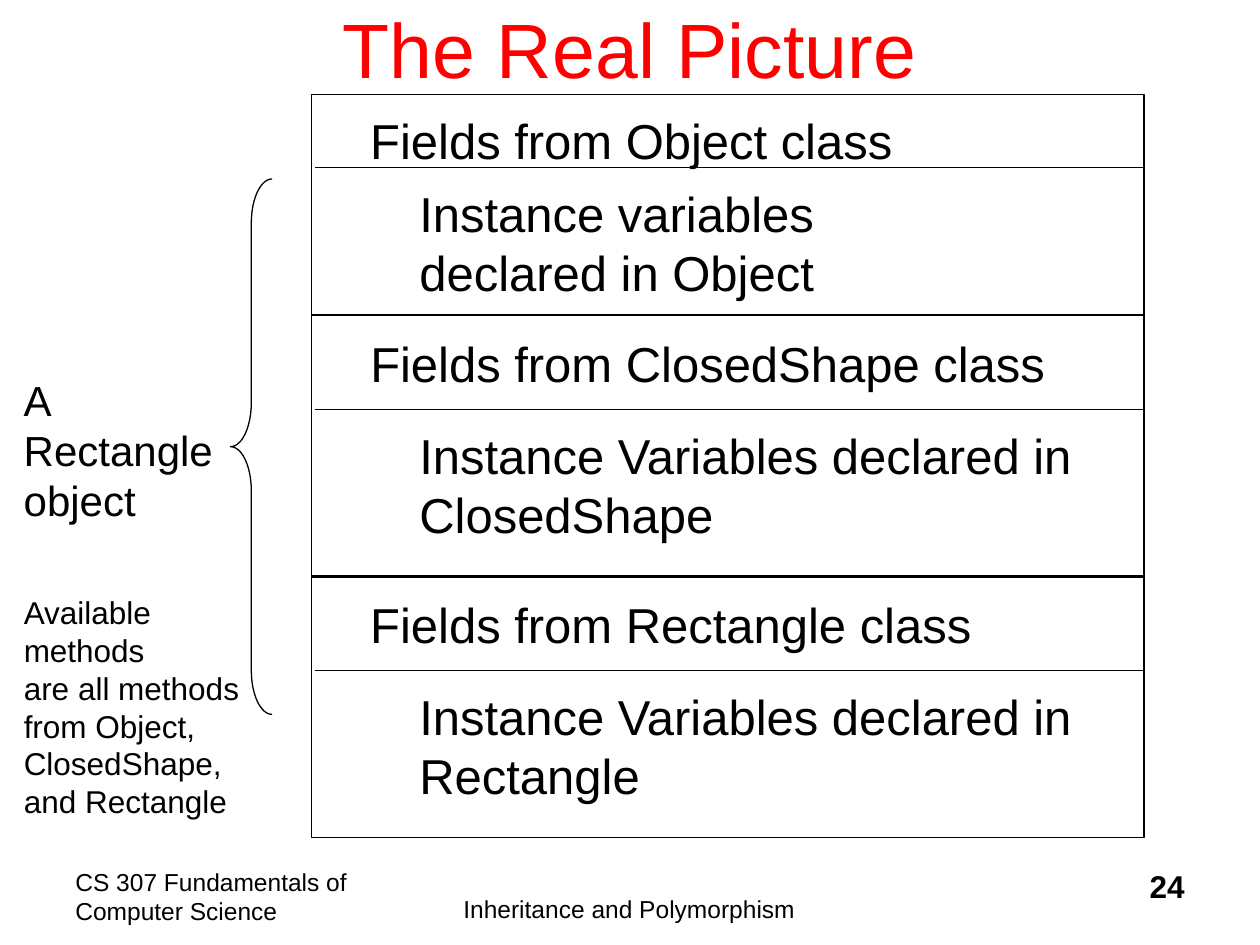
from pptx import Presentation
from pptx import util as u
from pptx.dml.color import RGBColor
from pptx.enum import shapes, text
from pptx.oxml.ns import qn
from lxml import etree

THEME = {
    "font": "Arial",
    "ink": RGBColor(0x00, 0x00, 0x00),
    "accent": RGBColor(0xFF, 0x00, 0x00),
    "line": 0.75,
    "title": 44, "section": 28, "label": 24, "note": 18, "footer": 14,
}

WIDTH, HEIGHT = 10, 7.5
FRAME_LEFT, FRAME_WIDTH = 2.47, 6.61
DIVIDER_LEFT, HEADING_LEFT, BODY_LEFT = 2.5, 2.84, 3.23
BODY_GAP = 0.08

# heading, heading width, body, body width, top, height, heading offset, divider offset
SECTIONS = [
    ("Fields from ClosedShape class", 5.55,
     "Instance Variables declared in ClosedShape", 5.52, 2.5, 2.08, 0.1, 0.75),
    ("Fields from Object class", 4.34,
     "Instance variables declared in Object", 4.18, 0.75, 1.75, 0.08, 0.58),
    ("Fields from Rectangle class", 4.97,
     "Instance Variables declared in Rectangle", 5.52, 4.57, 2.08, 0.1, 0.75),
]

TITLE = "The Real Picture"
OBJECT_LABEL = "A\vRectangle\vobject"
METHODS_NOTE = ("Available\vmethods\vare all methods\vfrom Object,\v"
                "ClosedShape,\vand Rectangle")
COURSE = "CS 307 Fundamentals of Computer Science"
TOPIC = "Inheritance and Polymorphism"
PAGE_NUMBER = "24"
FOOTER_TOP, FOOTER_HEIGHT = 6.83, 0.5

deck = Presentation()
deck.slide_width, deck.slide_height = u.Inches(WIDTH), u.Inches(HEIGHT)
page = deck.slides.add_slide(deck.slide_layouts[6])


def inches(*lengths):
    return [u.Inches(length) for length in lengths]


def add_text(words, place, size, wrap=True, color="ink", bold=False,
             align=text.PP_ALIGN.LEFT, anchor=text.MSO_ANCHOR.TOP):
    box = page.shapes.add_textbox(*inches(*place))
    frame = box.text_frame
    frame.word_wrap = wrap
    frame.vertical_anchor = anchor
    frame.text = words
    para = frame.paragraphs[0]
    para.alignment = align
    for span in para.runs:
        span.font.name = THEME["font"]
        span.font.size = u.Pt(THEME[size])
        span.font.color.rgb = THEME[color]
        span.font.bold = bold
    return frame


def style_line(item):
    item.line.color.rgb = THEME["ink"]
    item.line.width = u.Pt(THEME["line"])


def add_outline(preset, place):
    """Add an unfilled preset shape with a thin outline."""
    shape = page.shapes.add_shape(preset, *inches(*place))
    shape.shadow.inherit = False
    shape.fill.background()
    style_line(shape)
    return shape


def add_divider(top):
    line = page.shapes.add_connector(
        shapes.MSO_CONNECTOR.STRAIGHT,
        *inches(DIVIDER_LEFT, top, FRAME_LEFT + FRAME_WIDTH, top))
    style_line(line)
    etree.SubElement(line._element.spPr, qn("a:effectLst"))


def add_section(heading, heading_width, body, body_width, top, height,
                heading_offset, divider_offset):
    divider_top = top + divider_offset
    add_outline(shapes.MSO_SHAPE.RECTANGLE, (FRAME_LEFT, top, FRAME_WIDTH, height))
    add_text(heading, (HEADING_LEFT, top + heading_offset, heading_width, 0.57),
             "section", wrap=False)
    add_divider(divider_top)
    add_text(body, (BODY_LEFT, divider_top + BODY_GAP, body_width, 1.04), "section")


add_text(COURSE, (0.5, FOOTER_TOP, 2.5, FOOTER_HEIGHT), "footer")
topic = add_text(TOPIC, (3.08, FOOTER_TOP, 3.83, FOOTER_HEIGHT), "footer",
                 align=text.PP_ALIGN.CENTER, anchor=text.MSO_ANCHOR.BOTTOM)
topic.margin_bottom = 0
add_text(PAGE_NUMBER, (7.42, FOOTER_TOP, 2.08, FOOTER_HEIGHT), "note", bold=True,
         align=text.PP_ALIGN.RIGHT)
add_text(TITLE, (0.75, -0.25, 8.5, 1.25), "title", color="accent",
         align=text.PP_ALIGN.CENTER, anchor=text.MSO_ANCHOR.MIDDLE)

for section in SECTIONS:
    add_section(*section)

brace = add_outline(shapes.MSO_SHAPE.LEFT_BRACE, (1.83, 1.42, 0.33, 4.25))
brace.adjustments[0] = 1.06
add_text(OBJECT_LABEL, (0.09, 2.92, 1.7, 1.3), "label", wrap=False)
add_text(METHODS_NOTE, (0.09, 4.66, 1.91, 1.9), "note", wrap=False)

deck.save("out.pptx")
